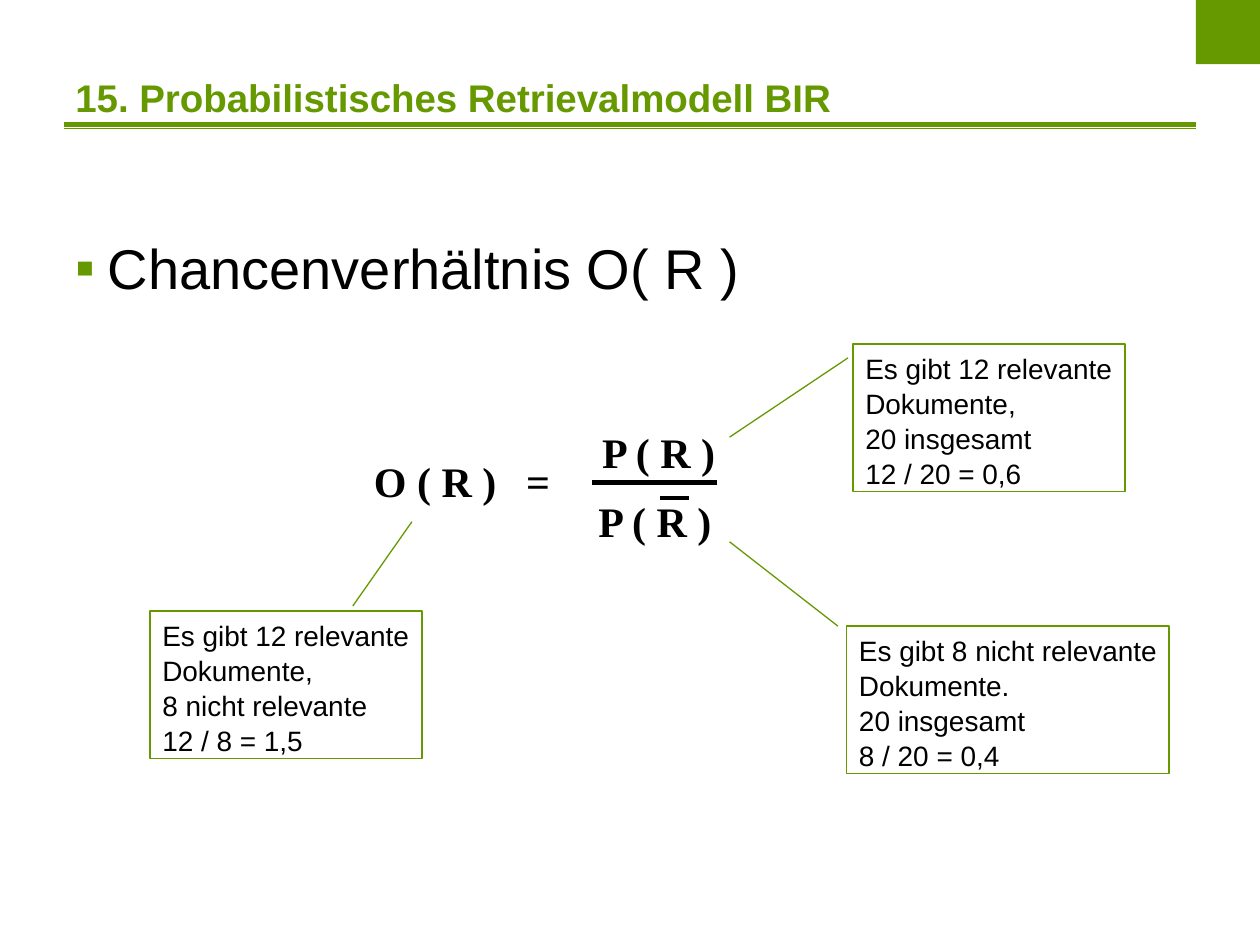
from lxml import etree
from pptx import Presentation
from pptx import util as u
from pptx.dml.color import RGBColor
from pptx.enum import shapes, text
from pptx.oxml import ns

GREEN = RGBColor(0x66, 0x99, 0x00)
BLACK = RGBColor(0, 0, 0)


class SlideBuilder:
    """Holds the style and the current slide; lengths are in points."""

    heading = dict(name="Arial", size=u.Pt(22), bold=True, color=GREEN)
    body = dict(name="Arial", size=u.Pt(32), bold=False, color=BLACK)
    note = dict(body, size=u.Pt(16))
    formula = dict(name="Times New Roman", size=u.Pt(24), bold=True, color=BLACK)
    line_spacing = 1.04

    def __init__(self, slide):
        self.slide = slide

    def fill_text(self, shape, lines, style, **frame_format):
        frame = shape.text_frame
        settings = dict(
            word_wrap=True, vertical_anchor=text.MSO_ANCHOR.TOP,
            margin_left=u.Pt(7.2), margin_right=u.Pt(7.2),
            margin_top=u.Pt(3.6), margin_bottom=u.Pt(3.6))
        for name, value in {**settings, **frame_format}.items():
            setattr(frame, name, value)
        frame.text = "\n".join(lines)
        for paragraph in frame.paragraphs:
            paragraph.alignment = text.PP_ALIGN.LEFT
            paragraph.line_spacing = self.line_spacing
            for run in paragraph.runs:
                for name, value in style.items():
                    if name == "color":
                        run.font.color.rgb = value
                    else:
                        setattr(run.font, name, value)
        return frame.paragraphs[0]

    def text_box(self, box, content, style, **frame_format):
        shape = self.slide.shapes.add_textbox(*map(u.Pt, box))
        return self.fill_text(shape, [content], style, **frame_format)

    def add_element(self, parent, tag, **attributes):
        return etree.SubElement(parent, ns.qn(tag), attributes)

    def bullet(self, paragraph, character, indent):
        properties = paragraph._p.get_or_add_pPr()
        properties.set("marL", str(u.Pt(indent)))
        properties.set("indent", str(-u.Pt(indent)))
        color = self.add_element(properties, "a:buClr")
        self.add_element(color, "a:srgbClr", val=str(GREEN))
        self.add_element(properties, "a:buFont", typeface="Arial")
        self.add_element(properties, "a:buChar", char=character)

    def tab_stop(self, paragraph, position):
        tabs = self.add_element(paragraph._p.get_or_add_pPr(), "a:tabLst")
        self.add_element(tabs, "a:tab", pos=str(u.Pt(position)), algn="l")

    def rectangle(self, box):
        shape = self.slide.shapes.add_shape(
            shapes.MSO_SHAPE.RECTANGLE, *map(u.Pt, box))
        shape.shadow.inherit = False
        return shape

    def block(self, box, color):
        shape = self.rectangle(box)
        shape.fill.solid()
        shape.fill.fore_color.rgb = color
        shape.line.fill.background()

    def note_box(self, box, lines):
        shape = self.rectangle(box)
        shape.fill.background()
        shape.line.color.rgb = GREEN
        shape.line.width = u.Pt(0.75)
        self.fill_text(shape, lines, self.note, word_wrap=False)

    def line(self, start, end, color=GREEN, width=0.75):
        connector = self.slide.shapes.add_connector(
            shapes.MSO_CONNECTOR.STRAIGHT, *map(u.Pt, (*start, *end)))
        connector.line.color.rgb = color
        connector.line.width = u.Pt(width)
        self.add_element(connector._element.spPr, "a:effectLst")


def main():
    presentation = Presentation()
    presentation.slide_width, presentation.slide_height = u.Pt(720), u.Pt(540)
    slide = presentation.slides.add_slide(presentation.slide_layouts[6])
    builder = SlideBuilder(slide)

    # Frame: double rule and corner block
    for y, width in ((71.3, 2.75), (73.4, 0.75)):
        builder.line((36.7, y), (683.3, y), width=width)
    builder.block((683.3, 0, 36.7, 36.7), GREEN)

    # Title and bullet
    builder.text_box((36, 10, 648, 90), "15. Probabilistisches Retrievalmodell BIR",
                     builder.heading, vertical_anchor=text.MSO_ANCHOR.MIDDLE)
    topic = builder.text_box((36, 126, 648, 356), "Chancenverhältnis O( R )",
                             builder.body, margin_top=u.Pt(6))
    builder.bullet(topic, "▪", 18.5)

    # Formula with fraction bar and negation bar
    odds = builder.text_box((206.6, 255.6, 190, 36), "O ( R )\t=", builder.formula)
    builder.tab_stop(odds, 87)
    for left, top in ((337, 239), (334.8, 278.6)):
        builder.text_box((left, top, 154.8, 64.8), "P ( R )", builder.formula)
    builder.line((338.4, 275.8), (409.7, 275.8), BLACK, 3)
    builder.line((377.3, 284.4), (393.8, 284.4), BLACK, 2.25)

    # Notes, each with its pointer line
    notes = (
        ((487.4, 196.6, 155.5, 84.2), (484.6, 204.5), (416.9, 249.8),
         ("Es gibt 12 relevante", "Dokumente,", "20 insgesamt", "12 / 20 = 0,6")),
        ((483.8, 357.8, 184.3, 84.2), (478.8, 357.8), (416.9, 309.6),
         ("Es gibt 8 nicht relevante", "Dokumente.", "20 insgesamt", "8 / 20 = 0,4")),
        ((85.7, 349.2, 155.5, 84.2), (201.6, 346.3), (235.4, 298.1),
         ("Es gibt 12 relevante", "Dokumente,", "8 nicht relevante", "12 / 8 = 1,5")),
    )
    for box, start, end, lines in notes:
        builder.note_box(box, lines)
        builder.line(start, end)

    presentation.save("out.pptx")


if __name__ == "__main__":
    main()
